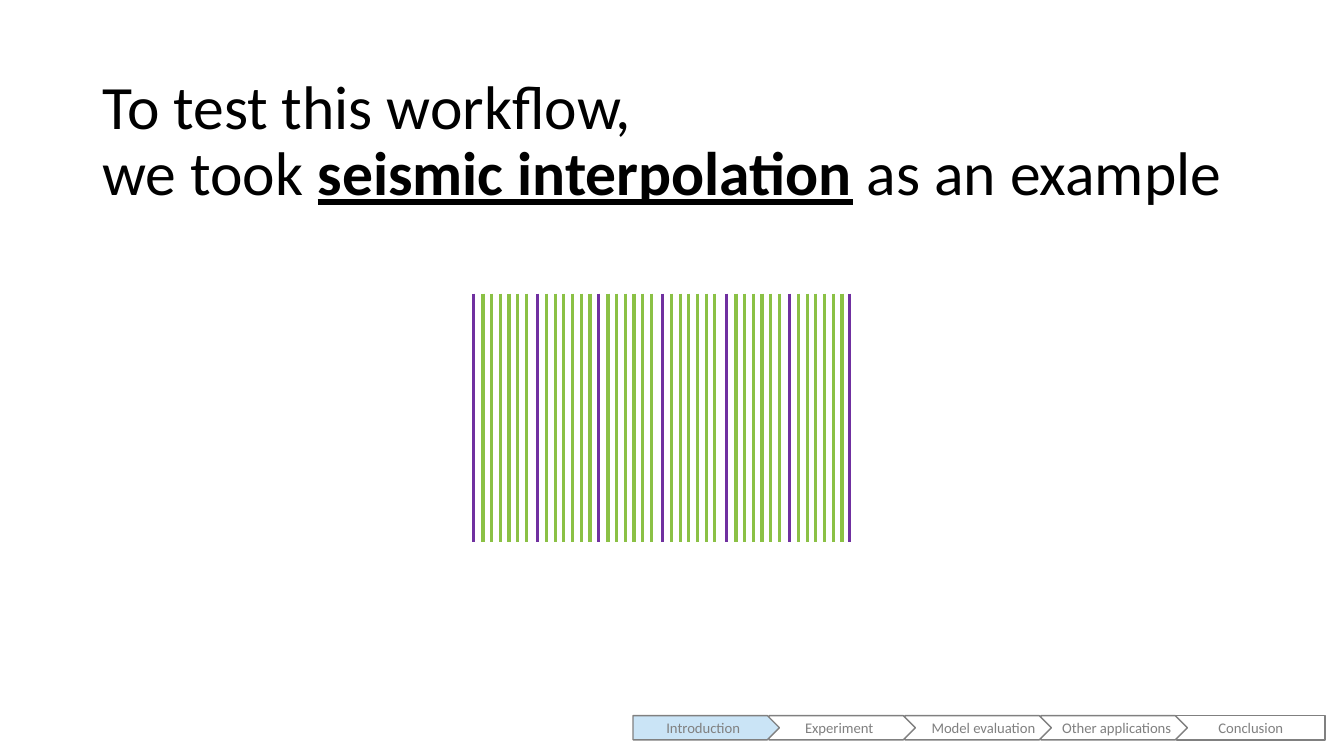
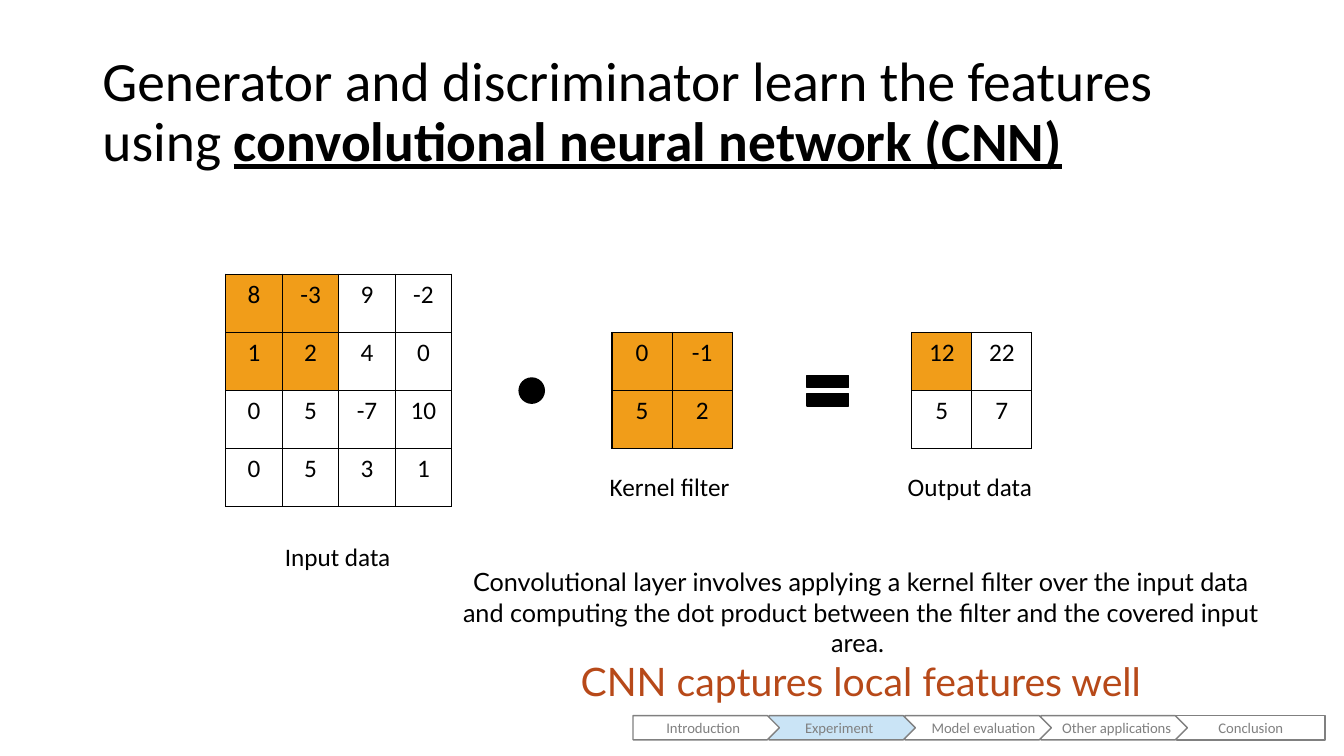
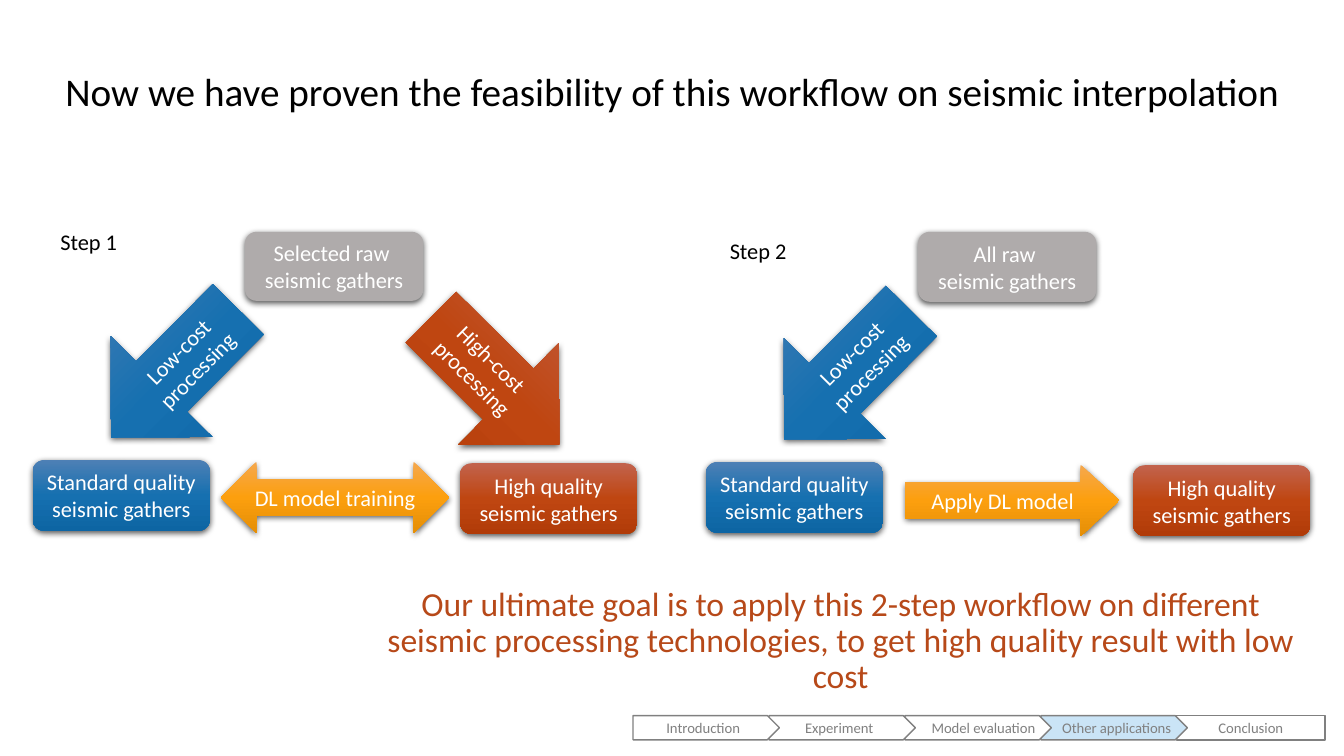
from copy import deepcopy

from lxml import etree
from pptx import Presentation
from pptx.dml.color import RGBColor
from pptx.enum.shapes import MSO_CONNECTOR, MSO_SHAPE
from pptx.enum.text import MSO_ANCHOR, MSO_AUTO_SIZE, PP_ALIGN
from pptx.oxml.ns import qn
from pptx.util import Pt

LEFT, CENTER, RIGHT = PP_ALIGN.LEFT, PP_ALIGN.CENTER, PP_ALIGN.RIGHT
MIDDLE, TOP = MSO_ANCHOR.MIDDLE, MSO_ANCHOR.TOP
NO_FIT = MSO_AUTO_SIZE.NONE
STRAIGHT = MSO_CONNECTOR.STRAIGHT
RECT, PLATE, ROUND = MSO_SHAPE.RECTANGLE, MSO_SHAPE.PENTAGON, MSO_SHAPE.ROUNDED_RECTANGLE
OVAL, EQUAL = MSO_SHAPE.OVAL, MSO_SHAPE.MATH_EQUAL
ARROW, TWO_WAY = MSO_SHAPE.RIGHT_ARROW, MSO_SHAPE.LEFT_RIGHT_ARROW

FONT, BODY_FONT = "Calibri", "Lato"
BLACK = RGBColor(0x00, 0x00, 0x00)
WHITE = RGBColor(0xFF, 0xFF, 0xFF)
NAV_GRAY = RGBColor(0x80, 0x80, 0x80)
NAV_ACTIVE = RGBColor(0xCA, 0xE4, 0xF6)
GREEN = RGBColor(0x8B, 0xC1, 0x45)
PURPLE = RGBColor(0x70, 0x30, 0xA0)
AMBER = RGBColor(0xF1, 0x9D, 0x19)
RUST = RGBColor(0xB7, 0x49, 0x19)
WARM_GRAY = RGBColor(0xAF, 0xAB, 0xAB)
BLUE_GRAD = RGBColor(0x4E, 0x80, 0xB5), RGBColor(0x16, 0x70, 0xB0), RGBColor(0x0D, 0x65, 0xA3)
RED_GRAD = RGBColor(0xC2, 0x63, 0x4D), RGBColor(0xBF, 0x46, 0x11), RGBColor(0xB1, 0x3B, 0x08)
ORANGE_GRAD = RGBColor(0xF5, 0xA8, 0x4E), RGBColor(0xFC, 0x9F, 0x0E), RGBColor(0xE5, 0x8F, 0x07)

# Content: section bar as name, alignment, shape, width
SECTIONS = [("Introduction", CENTER, PLATE, 104.6), ("Experiment", CENTER, PLATE, 104.6),
            ("Model evaluation", RIGHT, PLATE, 104.6), ("Other applications", RIGHT, PLATE, 104.6),
            ("Conclusion", CENTER, RECT, 105.8)]
NAV_X, NAV_Y, NAV_PITCH, NAV_H = 452.2, 511.2, 97.1, 17.3

# Content: seismic traces
KNOWN_TRACES = [338.4, 383.8, 427.7, 473, 519.1, 563.8, 607]
TRACE_TOP, TRACE_BOTTOM = 209.8, 387
FILL_COUNT, FILL_OFFSET, FILL_STEP = 6, 6.6, 6.2

# Content: matrices as left, top, column width, values, highlighted rows and columns
ROW_H = 41.55
MATRICES = [
    (161.3, 195.8, 40.35, [[8, -3, 9, -2], [1, 2, 4, 0], [0, 5, -7, 10], [0, 5, 3, 1]], 2),
    (437.2, 237.5, 42.9, [[0, -1], [5, 2]], 2),
    (651.3, 237.5, 42.9, [[12, 22], [5, 7]], 1),
]
MATRIX_LABELS = [("Input data", 196.4, 383), ("Kernel filter", 428.4, 333.4),
                 ("Output data", 641.3, 333.4)]
CNN_NOTE = ("Convolutional layer involves applying a kernel filter over the input data and "
            "computing the dot product between the filter and the covered input area. ")
CNN_CLAIM = "CNN captures local features well"

# Content: two-step workflow as label, label place, raw data, shift of the diagram
STEPS = [("Step 1", (36, 159.5), "Selected raw ", 0, 0),
         ("Step 2", (514.2, 165.6), "All raw ", 480.8, 1.4)]
GOAL = ("Our ultimate goal is to apply this 2-step workflow on different seismic processing "
        "technologies, to get high quality result with low cost")


def style(tf, size, color=BLACK, align=LEFT, font=FONT):
    for p in tf.paragraphs:
        p.alignment = align
        for r in p.runs:
            r.font.size, r.font.name, r.font.color.rgb = Pt(size), font, color


def set_frame(tf, anchor):
    tf.word_wrap = True
    tf.auto_size = NO_FIT
    tf.vertical_anchor = anchor


def write(tf, text, size, color=BLACK, align=LEFT, anchor=TOP, font=FONT):
    set_frame(tf, anchor)
    tf.text = text
    style(tf, size, color, align, font)


def add_text(slide, box, *args, **kwargs):
    tf = slide.shapes.add_textbox(*map(Pt, box)).text_frame
    write(tf, *args, **kwargs)
    return tf


def add_shape(slide, kind, box, fill, line=None):
    sp = slide.shapes.add_shape(kind, *map(Pt, box))
    sp.shadow.inherit = False
    if isinstance(fill, RGBColor):
        sp.fill.solid()
        sp.fill.fore_color.rgb = fill
    else:
        sp.fill.gradient()
        sp.fill.gradient_angle = 270
        stops = sp.element.spPr.find(".//" + qn("a:gsLst"))
        stops.insert(1, deepcopy(stops[0]))
        for stop, position, color in zip(sp.fill.gradient_stops, (0, 0.5, 1), fill):
            stop.position, stop.color.rgb = position, color
    if line is None:
        sp.line.fill.background()
    else:
        sp.line.color.rgb, sp.line.width = line, Pt(1)
    return sp


def add_block(slide, kind, box, fill, text, rotation=0, flip=False):
    """Workflow block with a soft shadow below and white text."""
    sp = add_shape(slide, kind, box, fill)
    effects = sp.element.spPr.find(qn("a:effectLst"))
    shadow = etree.SubElement(effects, qn("a:outerShdw"), blurRad="57150", dist="19050",
                              dir="5400000", algn="ctr", rotWithShape="0")
    color = etree.SubElement(shadow, qn("a:srgbClr"), val="000000")
    etree.SubElement(color, qn("a:alpha"), val="63000")
    sp.rotation = rotation
    if flip:
        sp.element.spPr.find(qn("a:xfrm")).set("flipV", "1")
    write(sp.text_frame, text, 16, WHITE, CENTER, MIDDLE)
    return sp


def add_trace(slide, x, color):
    cn = slide.shapes.add_connector(STRAIGHT, Pt(x), Pt(TRACE_TOP), Pt(x), Pt(TRACE_BOTTOM))
    cn.line.color.rgb, cn.line.width = color, Pt(2.25)
    etree.SubElement(cn._element.spPr, qn("a:effectLst"))


def add_matrix(slide, left, top, col_w, values, marked):
    n = len(values)
    table = slide.shapes.add_table(n, n, Pt(left), Pt(top), Pt(n * col_w), Pt(n * ROW_H)).table
    table.first_row = table.horz_banding = False
    for i, row in enumerate(values):
        table.rows[i].height, table.columns[i].width = Pt(ROW_H), Pt(col_w)
        for j, value in enumerate(row):
            cell = table.cell(i, j)
            cell.text = str(value)
            style(cell.text_frame, 18, align=CENTER)
            for side in ("a:lnL", "a:lnR", "a:lnT", "a:lnB"):
                ln = etree.SubElement(cell._tc.get_or_add_tcPr(), qn(side), w="12700")
                etree.SubElement(etree.SubElement(ln, qn("a:solidFill")),
                                 qn("a:srgbClr"), val="000000")
            if i < marked and j < marked:
                cell.fill.solid()
                cell.fill.fore_color.rgb = AMBER
            else:
                cell.fill.background()


def add_slide(prs, box, size, title, emphasis="", tail="", align=LEFT):
    slide = prs.slides.add_slide(prs.slide_layouts[5])
    sp = slide.shapes.title
    sp.left, sp.top, sp.width, sp.height = map(Pt, box)
    set_frame(sp.text_frame, MIDDLE)
    p = sp.text_frame.paragraphs[0]
    p.text = title  # a newline here is a line break within the paragraph
    p.line_spacing = 0.9
    if emphasis:
        r = p.add_run()
        r.text = emphasis
        r.font.bold = r.font.underline = True
    if tail:
        p.add_run().text = tail
    style(sp.text_frame, size, align=align)
    return slide


def add_nav(slide, active):
    # Right to left, so each tip lies over the next section
    for i, (name, align, kind, width) in reversed(list(enumerate(SECTIONS))):
        sp = add_shape(slide, kind, (NAV_X + i * NAV_PITCH, NAV_Y, width, NAV_H),
                       NAV_ACTIVE if name == active else WHITE, NAV_GRAY)
        write(sp.text_frame, name, 10.5, NAV_GRAY, align, MIDDLE)


def build_example(prs):
    slide = add_slide(prs, (66, 49.7, 828, 104.4), 44, "To test this workflow, \nwe took ",
                      "seismic interpolation", " as an example")
    for x in KNOWN_TRACES[:-1]:
        for i in range(FILL_COUNT):
            add_trace(slide, x + FILL_OFFSET + i * FILL_STEP, GREEN)
    for x in KNOWN_TRACES:
        add_trace(slide, x, PURPLE)
    add_nav(slide, "Introduction")


def build_cnn(prs):
    slide = add_slide(prs, (66, 28.8, 828, 104.4), 39.6,
                      "Generator and discriminator learn the features using ",
                      "convolutional neural network (CNN)")
    for matrix in MATRICES:
        add_matrix(slide, *matrix)
    add_shape(slide, OVAL, (370.8, 270, 18, 18), BLACK, BLACK)
    add_shape(slide, EQUAL, (571, 260.4, 40.3, 37.4), BLACK, BLACK)
    tf = add_text(slide, (322.6, 401.3, 584.6, 85), CNN_NOTE + "\n" + CNN_CLAIM, 18,
                  align=CENTER, font=BODY_FONT)
    claim = tf.paragraphs[1].runs[0].font
    claim.size, claim.color.rgb = Pt(28), RUST
    for text, x, y in MATRIX_LABELS:
        add_text(slide, (x, y, 104, 28.8), text, 18)
    add_nav(slide, "Experiment")


def build_workflow(prs):
    slide = add_slide(prs, (35.8, 15, 888.5, 104.4), 28,
                      "Now we have proven the feasibility of this workflow on seismic interpolation",
                      align=CENTER)
    # Parts that both steps share
    for label, place, raw, dx, dy in STEPS:
        add_block(slide, ROUND, (175 + dx, 165.6, 127.4, 49.3 + dy / 2), WARM_GRAY,
                  raw + "\nseismic gathers")
        for kind, (x, y, w, h), fill, text, *turn in [
            (ROUND, (23.3, 328.5, 126.7, 50.6), BLUE_GRAD, "Standard quality\nseismic gathers"),
            (ROUND, (328.6, 330.9, 126.7, 50.6), RED_GRAD, "High quality\nseismic gathers"),
            (ARROW, (60.3, 215.5, 128.9, 102.2), BLUE_GRAD, "Low-cost processing", 134.8, True),
        ]:
            add_block(slide, kind, (x + dx, y + dy, w, h), fill, text, *turn)
        add_text(slide, (*place, 57.6, 26.6), label, 16)
    # Parts of one step only
    add_block(slide, ARROW, (289.2, 221, 128.9, 102.2), RED_GRAD, "High-cost processing", 44.7)
    add_block(slide, TWO_WAY, (157.7, 329.8, 163.4, 51.1), ORANGE_GRAD, "DL model training")
    sp = add_block(slide, ARROW, (646.7, 331.9, 152.8, 51.1), ORANGE_GRAD, "Apply DL model")
    sp.adjustments[1] = 0.54
    tf = add_text(slide, (257.8, 406, 685.4, 104.4), GOAL, 24, RUST, CENTER, MIDDLE)
    tf.paragraphs[0].line_spacing = 0.9
    add_nav(slide, "Other applications")


def main():
    prs = Presentation()
    prs.slide_width, prs.slide_height = Pt(960), Pt(540)
    build_example(prs)
    build_cnn(prs)
    build_workflow(prs)
    prs.save("out.pptx")


if __name__ == "__main__":
    main()
